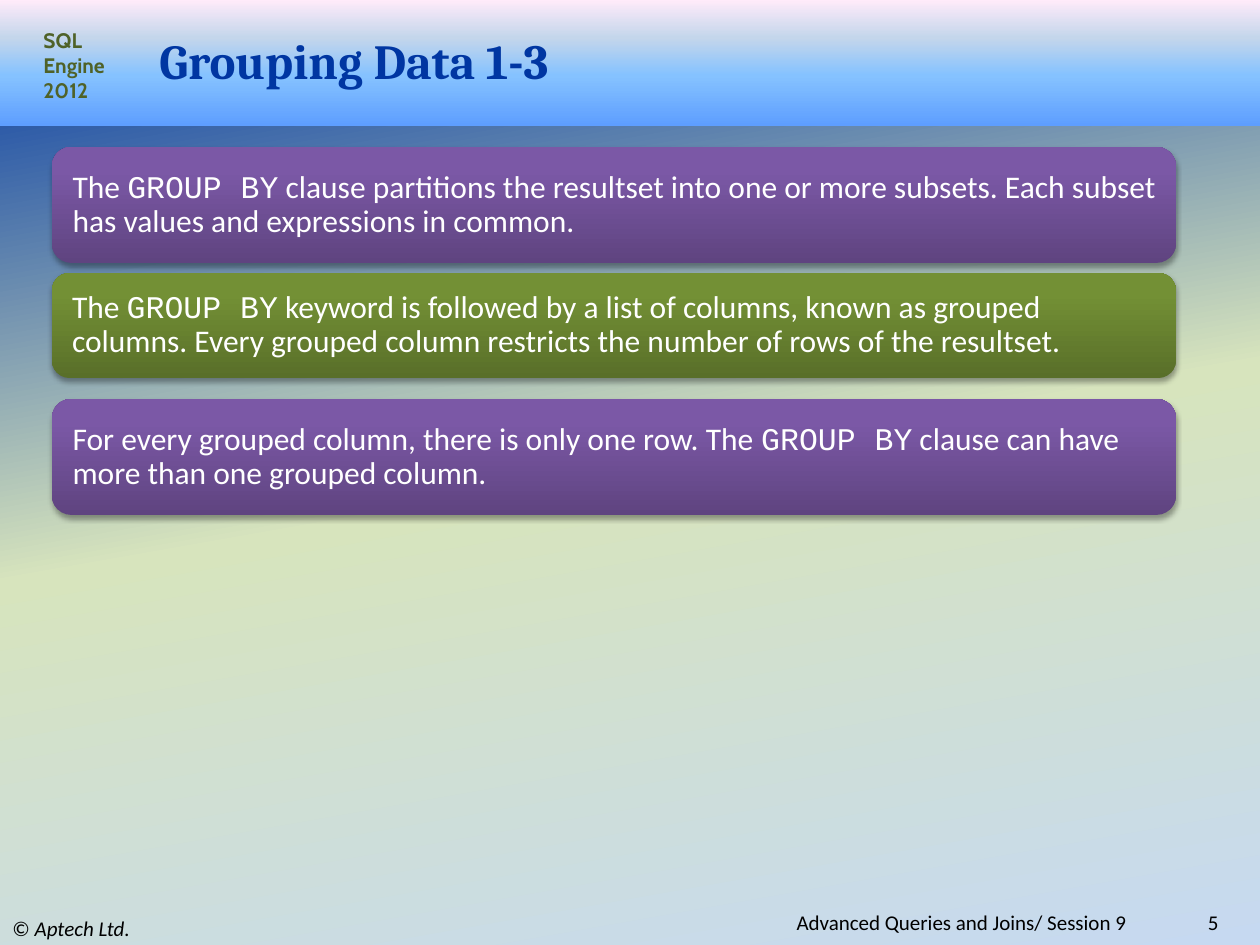
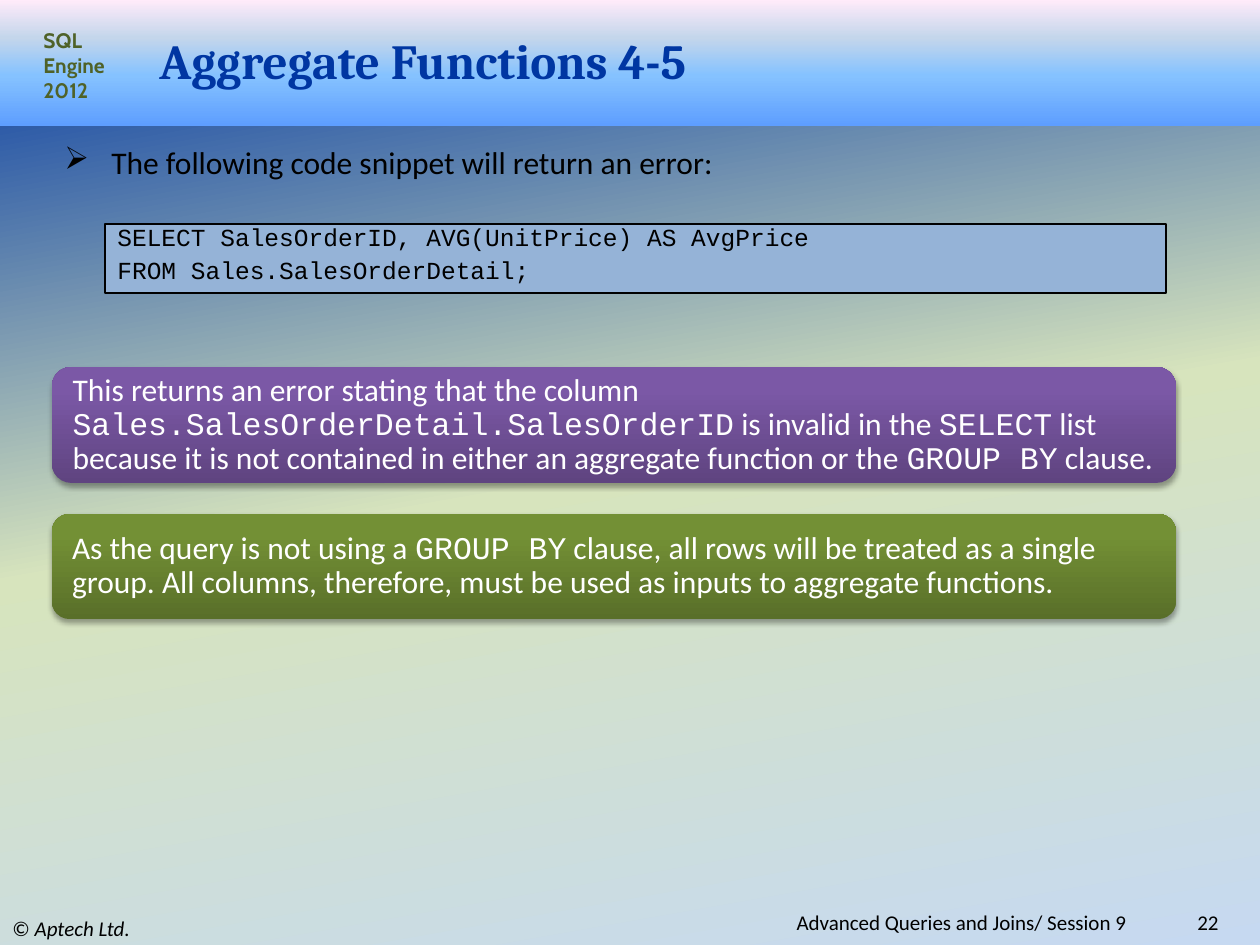
"""Build two course slides about grouping and aggregate functions."""
from dataclasses import dataclass

from lxml import etree
from pptx import Presentation
from pptx.dml.color import RGBColor
from pptx.enum.shapes import MSO_SHAPE
from pptx.enum.text import MSO_ANCHOR, PP_ALIGN
from pptx.oxml.ns import qn
from pptx.util import Pt

RECTANGLE, ROUNDED = MSO_SHAPE.RECTANGLE, MSO_SHAPE.ROUNDED_RECTANGLE
TOP, MIDDLE = MSO_ANCHOR.TOP, MSO_ANCHOR.MIDDLE
LEFT, RIGHT = PP_ALIGN.LEFT, PP_ALIGN.RIGHT
EMU_PER_PX = 914400 / 126
SLIDE_WIDTH, SLIDE_HEIGHT = 1260, 945
BLANK_LAYOUT = 6


@dataclass(frozen=True)
class Theme:
    """Colours, gradients, fonts and type sizes shared by the slides."""

    ink: str = "000000"
    white: str = "FFFFFF"
    title: str = "0036A2"
    badge: str = "4F6228"
    code_fill: str = "95B3D7"
    body_font: str = "Calibri"
    title_font: str = "Cambria"
    badge_font: str = "Cabin"
    code_font: str = "Courier New"
    title_size: int = 28
    body_size: int = 18
    code_size: int = 14
    small_size: int = 12
    background: tuple = ((0, "0036A2"), (50, "D7E4BD"), (100, "C6D9F1"))
    header: tuple = ((0, "5E9EFF"), (40, "85C2FF"), (70, "C4D6EB"), (100, "FFEBFA"))
    purple: tuple = ((0, "5F4480"), (80, "7B58A6"), (100, "7C57A8"))
    green: tuple = ((0, "596F29"), (80, "739035"), (100, "749334"))


THEME = Theme()
CARD_STYLES = ((THEME.purple, 116), (THEME.green, 105))
BODY_X = 52
GROUPING_CARDS = (
    "The `GROUP BY` clause partitions the resultset into one or more subsets. "
    "Each subset has values and expressions in common.",
    "The `GROUP BY` keyword is followed by a list of columns, known as grouped columns. "
    "Every grouped column restricts the number of rows of the resultset.",
    "For every grouped column, there is only one row. "
    "The `GROUP BY` clause can have more than one grouped column.",
)
AGGREGATE_CARDS = (
    "This returns an error stating that the column `Sales.SalesOrderDetail.SalesOrderID` "
    "is invalid in the `SELECT` list because it is not contained in either "
    "an aggregate function or the `GROUP BY` clause.",
    "As the query is not using a `GROUP BY` clause, all rows will be treated as a single group. "
    "All columns, therefore, must be used as inputs to aggregate functions.",
)
ERROR_QUERY = (
    "SELECT SalesOrderID, AVG(UnitPrice) AS AvgPrice",
    "FROM Sales.SalesOrderDetail;",
)


def px(length):
    """Turn a length in px into EMU."""
    return round(length * EMU_PER_PX)


def apply_format(target, values):
    """Set each named attribute of the target."""
    for name, value in values.items():
        setattr(target, name, value)


def add_element(parent, tag, **attributes):
    """Append a DrawingML element to the parent."""
    values = {name: str(value) for name, value in attributes.items()}
    return etree.SubElement(parent, qn(f"a:{tag}"), values)


def paint_gradient(owner, fill, stops, angle):
    """Fill the owner with a linear gradient at a clockwise angle."""
    fill.gradient()
    gradient = next(owner.element.iter(qn("a:gradFill")))
    for child in list(gradient):
        gradient.remove(child)
    stop_list = add_element(gradient, "gsLst")
    for position, color in stops:
        stop = add_element(stop_list, "gs", pos=position * 1000)
        add_element(stop, "srgbClr", val=color)
    add_element(gradient, "lin", ang=angle * 60000, scaled=0)


def add_panel(slide, box, kind=RECTANGLE):
    """Add a preset shape without outline or shadow."""
    shape = slide.shapes.add_shape(kind, *map(px, box))
    shape.shadow.inherit = False
    shape.line.fill.background()
    return shape


def add_text_box(slide, box):
    """Add an empty text box and return its shape."""
    return slide.shapes.add_textbox(*map(px, box))


def write_run(paragraph, text, color=THEME.ink, **values):
    """Add one formatted run to the paragraph."""
    run = paragraph.add_run()
    run.text = text
    defaults = {"name": THEME.body_font, "size": Pt(THEME.small_size)}
    apply_format(run.font, {**defaults, **values})
    run.font.color.rgb = RGBColor.from_string(color)


def open_paragraph(shape, anchor=TOP, alignment=LEFT, **frame_values):
    """Prepare the text frame and return its first paragraph."""
    frame = shape.text_frame
    apply_format(frame, {"word_wrap": True, "vertical_anchor": anchor, **frame_values})
    paragraph = frame.paragraphs[0]
    paragraph.alignment = alignment
    return paragraph


def draw_header(slide, title):
    """Draw the top band with the course badge and the slide title."""
    band = add_panel(slide, (0, 0, SLIDE_WIDTH, 126))
    paint_gradient(band, band.fill, THEME.header, 270)
    badge = open_paragraph(add_text_box(slide, (31, 21, 95, 89)))
    write_run(badge, "SQL Engine 2012", THEME.badge, name=THEME.badge_font, bold=True)
    heading = open_paragraph(add_text_box(slide, (147, 31, 1050, 57)), MIDDLE)
    write_run(heading, title, THEME.title, name=THEME.title_font,
              size=Pt(THEME.title_size), bold=True)


def draw_footer(slide, number):
    """Draw the copyright line, session name and slide number."""
    top = 911
    notice = open_paragraph(add_text_box(slide, (0, top, 420, 34)), MIDDLE)
    write_run(notice, "© ")
    write_run(notice, "Aptech Ltd.", italic=True)
    entries = (
        ("Advanced Queries and Joins/ Session 9", 315, 824),
        (str(number), 1124, 107),
    )
    for text, left, width in entries:
        box = add_text_box(slide, (left, top, width, 23))
        write_run(open_paragraph(box, MIDDLE, RIGHT), text)


def draw_card(slide, box, text, stops):
    """Draw a rounded card whose backquoted words are set as code."""
    card = add_panel(slide, box, ROUNDED)
    paint_gradient(card, card.fill, stops, 270)
    effects = next(card.element.iter(qn("a:effectLst")))
    shadow = add_element(effects, "outerShdw", blurRad=Pt(3.1), dist=Pt(1.8),
                         dir=90 * 60000, rotWithShape=0)
    add_element(add_element(shadow, "srgbClr", val=THEME.ink), "alpha", val=35000)
    paragraph = open_paragraph(card, MIDDLE, margin_left=px(15), margin_right=px(13),
                               margin_top=0, margin_bottom=0)
    paragraph.line_spacing = 0.9
    for index, part in enumerate(text.split("`")):
        font_name = THEME.code_font if index % 2 else THEME.body_font
        write_run(paragraph, part, THEME.white, name=font_name, size=Pt(THEME.body_size))


def draw_cards(slide, top, pitch, texts):
    """Stack cards at an equal pitch, alternating the card styles."""
    for index, text in enumerate(texts):
        stops, height = CARD_STYLES[index % len(CARD_STYLES)]
        draw_card(slide, (BODY_X, top + index * pitch, 1124, height), text, stops)


def draw_bullet(slide, box, text):
    """Draw one arrow-bulleted line."""
    paragraph = open_paragraph(add_text_box(slide, box))
    properties = paragraph._p.get_or_add_pPr()
    apply_indent = {"marL": px(47), "indent": -px(47)}
    for name, value in apply_indent.items():
        properties.set(name, str(value))
    add_element(properties, "buChar", char="➢")
    write_run(paragraph, text, size=Pt(THEME.body_size))


def draw_code(slide, box, lines):
    """Draw an outlined code panel with one paragraph per line."""
    panel = add_panel(slide, box)
    panel.fill.solid()
    panel.fill.fore_color.rgb = RGBColor.from_string(THEME.code_fill)
    panel.line.color.rgb = RGBColor.from_string(THEME.ink)
    panel.line.width = Pt(0.75)
    paragraph = open_paragraph(panel)
    for index, line in enumerate(lines):
        if index:
            paragraph = panel.text_frame.add_paragraph()
            apply_format(paragraph, {"alignment": LEFT, "space_before": Pt(7)})
        paragraph.line_spacing = 0.7
        write_run(paragraph, line, name=THEME.code_font, size=Pt(THEME.code_size))


def add_course_slide(presentation, title, number):
    """Add a slide with the shared background, header and footer."""
    slide = presentation.slides.add_slide(presentation.slide_layouts[BLANK_LAYOUT])
    paint_gradient(slide, slide.background.fill, THEME.background, 80)
    draw_header(slide, title)
    draw_footer(slide, number)
    return slide


def build_grouping_slide(presentation):
    """Build the slide on grouping data."""
    slide = add_course_slide(presentation, "Grouping Data 1-3", 5)
    draw_cards(slide, 147, 126, GROUPING_CARDS)


def build_aggregate_slide(presentation):
    """Build the slide on an invalid aggregate query."""
    slide = add_course_slide(presentation, "Aggregate Functions 4-5", 22)
    draw_bullet(slide, (BODY_X, 137, 1155, 50),
                "The following code snippet will return an error:")
    draw_code(slide, (105, 224, 1061, 69), ERROR_QUERY)
    draw_cards(slide, 367, 147, AGGREGATE_CARDS)


def main():
    """Build and save the presentation."""
    presentation = Presentation()
    apply_format(presentation, {"slide_width": px(SLIDE_WIDTH),
                                "slide_height": px(SLIDE_HEIGHT)})
    build_grouping_slide(presentation)
    build_aggregate_slide(presentation)
    presentation.save("out.pptx")


if __name__ == "__main__":
    main()
